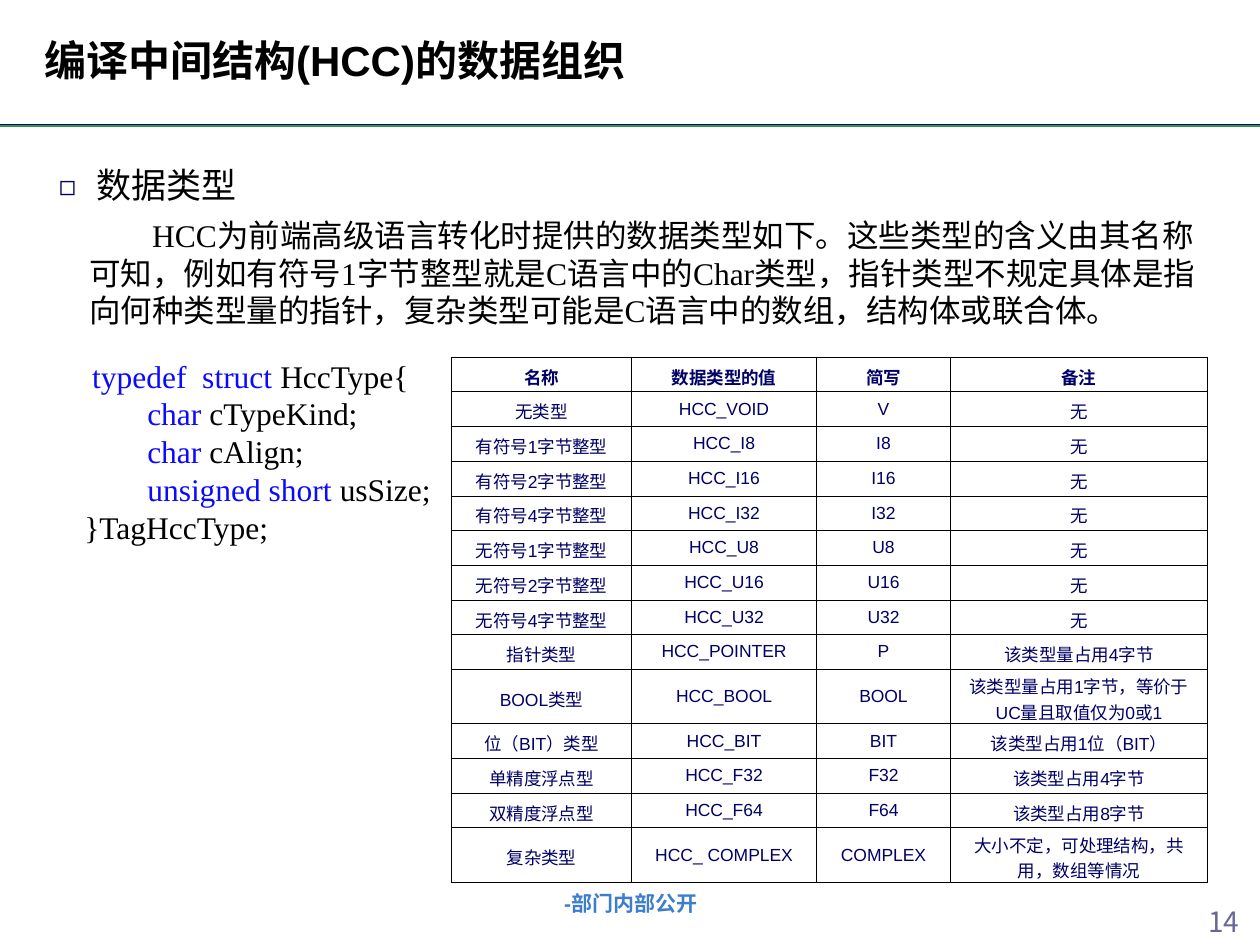
from dataclasses import dataclass
from typing import Any, NamedTuple

from lxml.etree import SubElement
from pptx import Presentation
from pptx.dml.color import RGBColor
from pptx.enum.shapes import MSO_CONNECTOR as Connector
from pptx.enum.text import MSO_ANCHOR as Anchor, PP_ALIGN as Align
from pptx.oxml.ns import qn
from pptx.util import Cm, Pt


@dataclass(frozen=True)
class Theme:
    black: str = "000000"
    navy: str = "000066"
    keyword: str = "0A0AFF"
    footer: str = "3D7DCB"
    page: str = "666699"
    rule_blue: str = "000099"
    rule_green: str = "339933"
    sans: str = "Arial"
    serif: str = "Times New Roman"
    chinese: str = "Noto Sans CJK SC"
    title_size: float = 24
    heading_size: float = 20
    body_size: float = 18
    page_size: float = 16
    footer_size: float = 12
    table_size: float = 10


THEME = Theme()


class Style(NamedTuple):
    size: float
    font: str
    color: str = THEME.black
    bold: bool = False


class Span(NamedTuple):
    text: str
    color: str = THEME.black


class Line(NamedTuple):
    spans: tuple[Span, ...]
    indent: float = 0


@dataclass(frozen=True)
class TextBlock:
    """A text box; lengths are centimetres."""
    left: float
    top: float
    width: float
    height: float
    style: Style
    lines: tuple[Line, ...]
    align: Align = Align.LEFT
    anchor: Anchor = Anchor.TOP
    inset_x: float = 0.25
    inset_y: float = 0.13
    bullet: str = ""


class Rule(NamedTuple):
    top: float
    color: str


def plain(text: str, indent: float = 0) -> Line:
    return Line((Span(text, ""),), indent)


def code(keyword: str, rest: str, indent: float) -> Line:
    return Line((Span(keyword, THEME.keyword), Span(rest)), indent)


def apply_format(target: Any, values: dict[str, Any]) -> None:
    for name, value in values.items():
        setattr(target, name, value)


def add_run(paragraph: Any, text: str, style: Style, color: str = "") -> None:
    run = paragraph.add_run()
    run.text = text
    apply_format(run.font, {"size": Pt(style.size), "name": style.font, "bold": style.bold})
    run.font.color.rgb = RGBColor.from_string(color or style.color)
    SubElement(run.font._element, qn("a:ea"), typeface=THEME.chinese)


def add_bullet(paragraph: Any, symbol: str) -> None:
    properties = paragraph._p.get_or_add_pPr()
    hanging = Cm(0.76)
    properties.set("marL", str(hanging))
    properties.set("indent", str(-hanging))
    color = SubElement(properties, qn("a:buClr"))
    SubElement(color, qn("a:srgbClr"), val=THEME.navy)
    SubElement(properties, qn("a:buSzPct"), val="80000")
    SubElement(properties, qn("a:buFont"), typeface=THEME.chinese)
    SubElement(properties, qn("a:buChar"), char=symbol)


def draw_text(slide: Any, block: TextBlock) -> None:
    position = map(Cm, (block.left, block.top, block.width, block.height))
    frame = slide.shapes.add_textbox(*position).text_frame
    apply_format(frame, {
        "word_wrap": True, "vertical_anchor": block.anchor,
        "margin_left": Cm(block.inset_x), "margin_right": Cm(block.inset_x),
        "margin_top": Cm(block.inset_y), "margin_bottom": Cm(block.inset_y),
    })
    for index, line in enumerate(block.lines):
        paragraph = frame.add_paragraph() if index else frame.paragraphs[0]
        paragraph.alignment = block.align
        if line.indent:
            paragraph._p.get_or_add_pPr().set("indent", str(Cm(line.indent)))
        if block.bullet:
            add_bullet(paragraph, block.bullet)
        for span in line.spans:
            add_run(paragraph, span.text, block.style, span.color)


def draw_rule(slide: Any, rule: Rule) -> None:
    top = Cm(rule.top)
    connector = slide.shapes.add_connector(Connector.STRAIGHT, 0, top, Cm(25.4), top)
    connector.line.width = Pt(1.5)
    connector.line.color.rgb = RGBColor.from_string(rule.color)
    SubElement(connector._element.spPr, qn("a:effectLst"))


def add_borders(cell: Any) -> None:
    properties = cell._tc.get_or_add_tcPr()
    for position, side in enumerate(("lnL", "lnR", "lnT", "lnB")):
        border = properties.makeelement(qn(f"a:{side}"), {"w": str(Pt(0.45))})
        fill = SubElement(border, qn("a:solidFill"))
        SubElement(fill, qn("a:srgbClr"), val=THEME.black)
        properties.insert(position, border)


def draw_cell(cell: Any, text: str, bold: bool) -> None:
    """Chinese lines are taller, so those cells have no bottom margin."""
    apply_format(cell, {
        "vertical_anchor": Anchor.MIDDLE, "margin_left": Cm(0.2), "margin_right": Cm(0.2),
        "margin_top": Cm(0.09), "margin_bottom": Cm(0.09 if text.isascii() else 0),
    })
    cell.fill.background()
    add_borders(cell)
    paragraph = cell.text_frame.paragraphs[0]
    paragraph.alignment = Align.CENTER
    paragraph._p.get_or_add_pPr().set("hangingPunct", "0")
    add_run(paragraph, text, Style(THEME.table_size, THEME.sans, THEME.navy, bold))


def draw_type_table(slide: Any, rows: list[tuple[str, ...]]) -> None:
    widths = (3.63, 3.73, 2.7, 5.18)
    heights = [1.1 if len(row[-1]) > 15 else 0.7 for row in rows]
    table = slide.shapes.add_table(len(rows), len(widths), Cm(9.1), Cm(7.2),
                                   Cm(sum(widths)), Cm(sum(heights))).table
    apply_format(table, {"first_row": False, "horz_banding": False})
    for column, width in zip(table.columns, widths):
        column.width = Cm(width)
    for index, (row, height) in enumerate(zip(rows, heights)):
        table.rows[index].height = Cm(height)
        for cell, text in zip(table.rows[index].cells, row):
            draw_cell(cell, text, bold=index == 0)


INTEGERS = [(f"{sign}符号{size}字节整型", f"HCC_{letter}{size * 8}", f"{letter}{size * 8}", "无")
            for sign, letter in (("有", "I"), ("无", "U")) for size in (1, 2, 4)]
TYPE_ROWS = [
    ("名称", "数据类型的值", "简写", "备注"),
    ("无类型", "HCC_VOID", "V", "无"),
    *INTEGERS,
    ("指针类型", "HCC_POINTER", "P", "该类型量占用4字节"),
    ("BOOL类型", "HCC_BOOL", "BOOL", "该类型量占用1字节，等价于UC量且取值仅为0或1"),
    ("位（BIT）类型", "HCC_BIT", "BIT", "该类型占用1位（BIT）"),
    ("单精度浮点型", "HCC_F32", "F32", "该类型占用4字节"),
    ("双精度浮点型", "HCC_F64", "F64", "该类型占用8字节"),
    ("复杂类型", "HCC_ COMPLEX", "COMPLEX", "大小不定，可处理结构，共用，数组等情况"),
]
RULES = (Rule(2.52, THEME.rule_blue), Rule(2.54, THEME.rule_green))
BODY = Style(THEME.body_size, THEME.serif)
TAB = 1.27
TEXT_BLOCKS = (
    TextBlock(23.95, 18.11, 1.45, 1.07, Style(THEME.page_size, THEME.chinese, THEME.page),
              (plain("14"),), Align.CENTER),
    TextBlock(8.69, 17.83, 8.05, 0.86, Style(THEME.footer_size, THEME.sans, THEME.footer, True),
              (plain("-部门内部公开"),), Align.CENTER),
    TextBlock(0.64, 0, 22.81, 2.39, Style(THEME.title_size, THEME.sans, bold=True),
              (plain("编译中间结构(HCC)的数据组织"),), anchor=Anchor.MIDDLE),
    TextBlock(0.94, 3.16, 4.27, 1.12, Style(THEME.heading_size, THEME.serif),
              (plain("数据类型"),), bullet="◻"),
    TextBlock(1.7, 7.19, 7.42, 3.81, BODY, (
        code("typedef  struct ", "HccType{", 0.16),
        code("char", " cTypeKind;", TAB),
        code("char", " cAlign;", TAB),
        code("unsigned short ", "usSize;", TAB),
        plain("}TagHccType;"),
    ), inset_x=0, inset_y=0),
    TextBlock(1.7, 4.22, 23.7, 2.54, BODY, (
        plain("HCC为前端高级语言转化时提供的数据类型如下。这些类型的含义由其名称", TAB),
        plain("可知，例如有符号1字节整型就是C语言中的Char类型，指针类型不规定具体是指"),
        plain("向何种类型量的指针，复杂类型可能是C语言中的数组，结构体或联合体。"),
    ), inset_x=0.1),
)


def main() -> None:
    presentation = Presentation()
    apply_format(presentation, {"slide_width": Cm(25.4), "slide_height": Cm(19.05)})
    slide = presentation.slides.add_slide(presentation.slide_layouts[6])
    for rule in RULES:
        draw_rule(slide, rule)
    for block in TEXT_BLOCKS:
        draw_text(slide, block)
    draw_type_table(slide, TYPE_ROWS)
    presentation.save("out.pptx")


if __name__ == "__main__":
    main()
